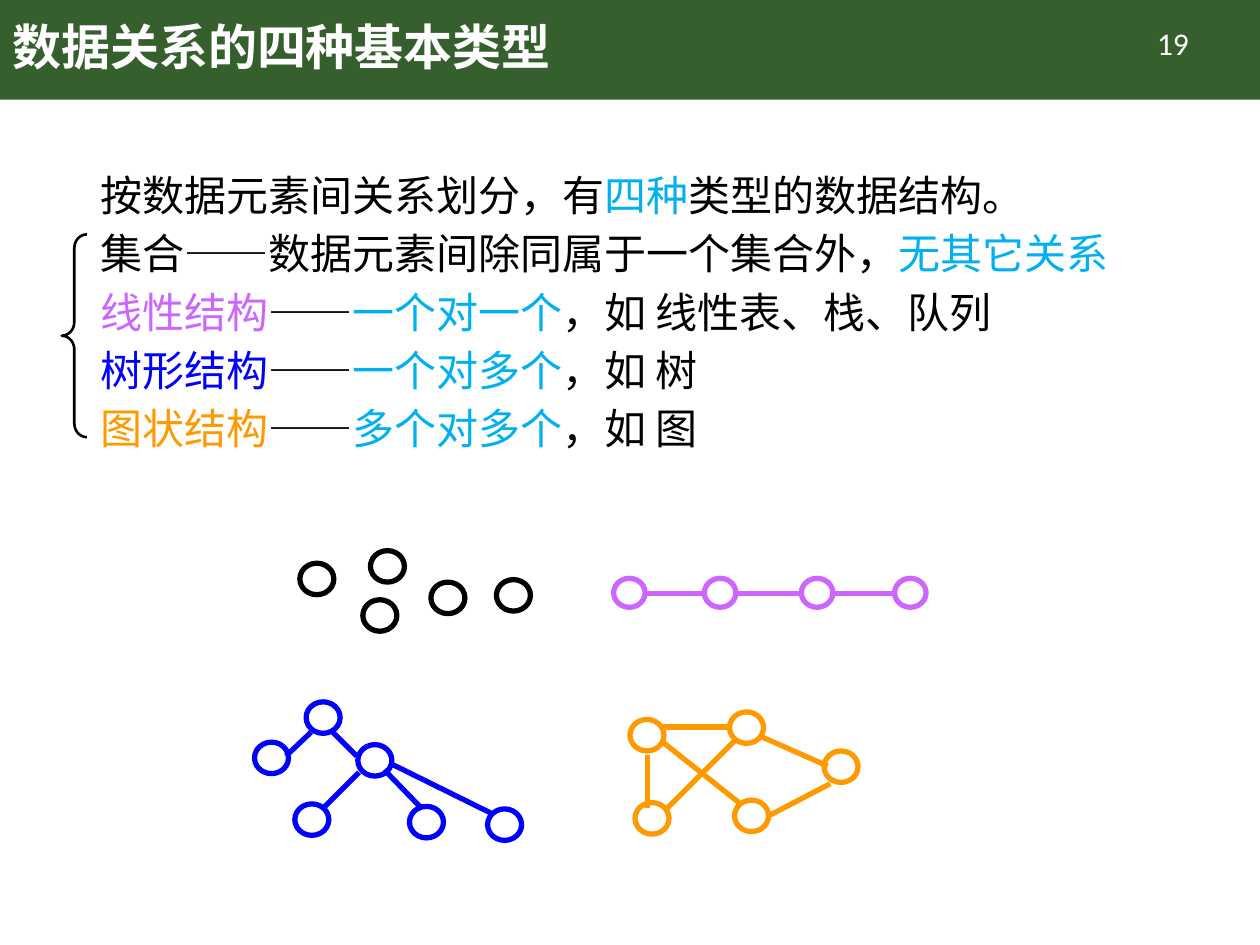
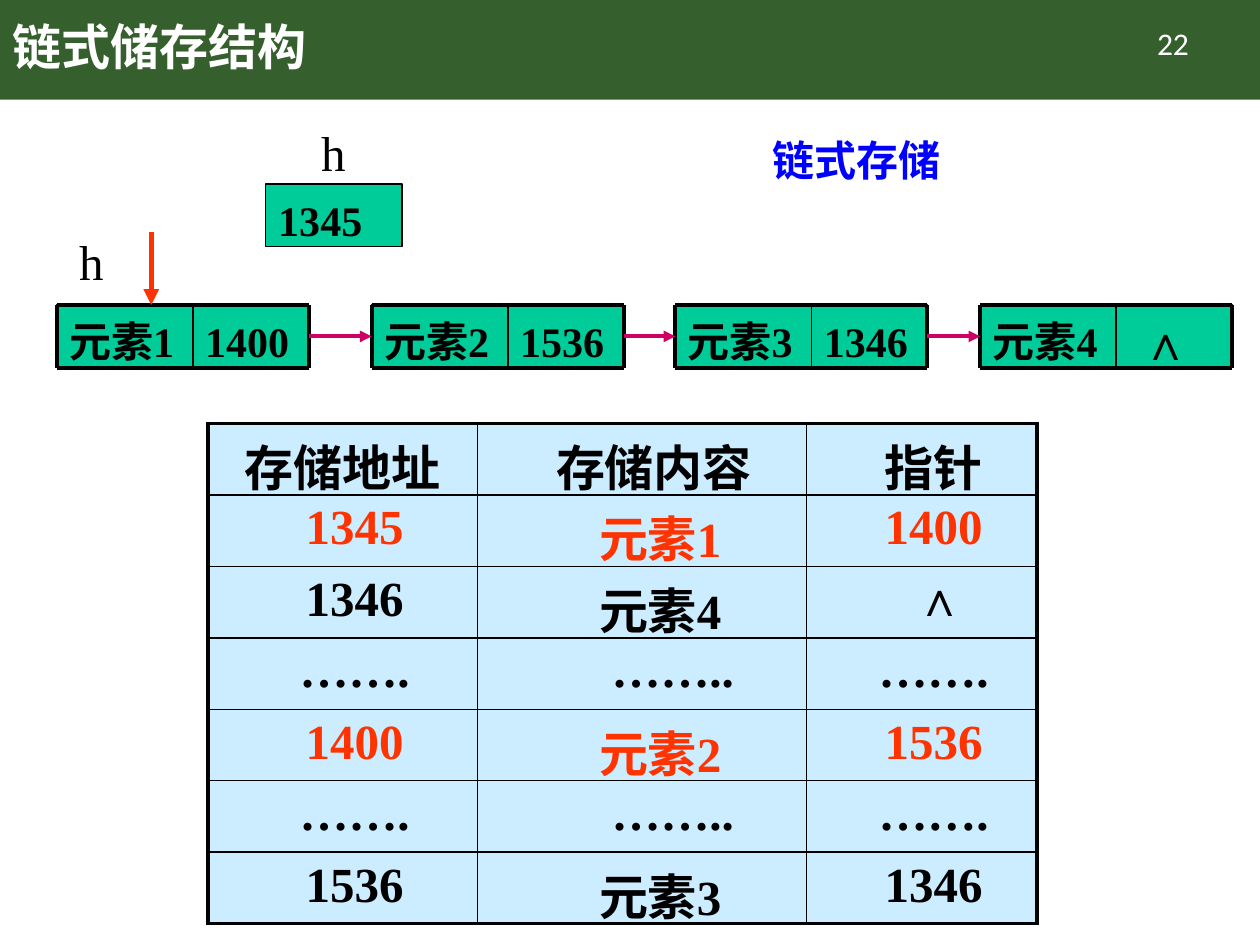
"""Build two slides on data relations and linked storage."""
from dataclasses import dataclass
from itertools import pairwise

from lxml.etree import SubElement
from pptx import Presentation
from pptx.dml.color import RGBColor
from pptx.enum.shapes import MSO_CONNECTOR, MSO_SHAPE
from pptx.enum.text import MSO_ANCHOR, PP_ALIGN
from pptx.oxml.ns import qn
from pptx.util import Inches, Pt


@dataclass(frozen=True)
class Theme:
    """Colours, fonts and type sizes."""
    band: str = "365F2E"
    white: str = "FFFFFF"
    black: str = "000000"
    sky: str = "00B0F0"
    violet: str = "CC66FF"
    blue: str = "0000FF"
    orange: str = "FF9900"
    red: str = "FF3300"
    pink: str = "CC0066"
    node: str = "00CC99"
    cell: str = "CCECFF"
    serif: str = "Times New Roman"
    sans: str = "Calibri"
    cjk: str = "Noto Sans CJK SC"
    large: int = 28
    body: int = 24
    small: int = 18


T = Theme()


class Deck:
    """Hold the presentation and draw on its current slide."""

    def __init__(self):
        """Start an empty 10 by 7.5 inch presentation."""
        self.prs = Presentation()
        self.prs.slide_width, self.prs.slide_height = Inches(10), Inches(7.5)

    def slide(self, title, number):
        """Add a slide with the title band and page number."""
        self.s = self.prs.slides.add_slide(self.prs.slide_layouts[6])
        self.shape(MSO_SHAPE.RECTANGLE, (0, 0, 10, 0.79), fill=T.band)
        self.text((0, 0, 8.62, 0.79), [[(title, T.white)]], size=T.large, bold=True,
                  font=T.cjk, spacing=0.9, anchor=MSO_ANCHOR.MIDDLE)
        self.text((8.71, 0.14, 1.2, 0.4), [[(number, T.white)]], size=T.small,
                  font=T.sans, align=PP_ALIGN.CENTER)

    def fill_text(self, tf, lines, size=T.body, bold=False, font=T.serif,
                  align=PP_ALIGN.LEFT, spacing=None):
        """Put lines of (text, colour) runs into a text frame."""
        for i, runs in enumerate(lines):
            p = tf.add_paragraph() if i else tf.paragraphs[0]
            for name, value in {"alignment": align, "line_spacing": spacing}.items():
                setattr(p, name, value)
            for text, color in runs:
                r = p.add_run()
                r.text = text
                for name, value in {"size": Pt(size), "bold": bold, "name": font}.items():
                    setattr(r.font, name, value)
                r.font.color.rgb = RGBColor.from_string(color)
                SubElement(r._r.get_or_add_rPr(), qn("a:ea"), typeface=T.cjk)

    def frame(self, tf, anchor=MSO_ANCHOR.TOP, left=0.1, top=0.05, right=0.1):
        """Set wrapping, anchor and insets of a text frame."""
        formats = {"word_wrap": True, "vertical_anchor": anchor,
                   "margin_left": Inches(left), "margin_top": Inches(top),
                   "margin_right": Inches(right), "margin_bottom": Inches(0.05)}
        for name, value in formats.items():
            setattr(tf, name, value)

    def text(self, at, lines, anchor=MSO_ANCHOR.TOP, left=0.1, top=0.05, **style):
        """Add a text box."""
        tf = self.s.shapes.add_textbox(*map(Inches, at)).text_frame
        self.frame(tf, anchor, left, top)
        self.fill_text(tf, lines, **style)

    def shape(self, kind, at, fill=None, line=None, width=1.0):
        """Add a preset shape."""
        sp = self.s.shapes.add_shape(kind, *map(Inches, at))
        sp.shadow.inherit = False
        if fill:
            sp.fill.solid()
            sp.fill.fore_color.rgb = RGBColor.from_string(fill)
        else:
            sp.fill.background()
        if line:
            sp.line.color.rgb = RGBColor.from_string(line)
            sp.line.width = Pt(width)
        else:
            sp.line.fill.background()
        return sp

    def line(self, x1, y1, x2, y2, color=T.black, width=3.0, arrow=False):
        """Add a straight line, with an arrowhead on request."""
        c = self.s.shapes.add_connector(MSO_CONNECTOR.STRAIGHT,
                                        *map(Inches, (x1, y1, x2, y2)))
        c.line.color.rgb = RGBColor.from_string(color)
        c.line.width = Pt(width)
        if arrow:
            SubElement(c._element.spPr.find(qn("a:ln")), qn("a:tailEnd"), type="triangle")
        SubElement(c._element.spPr, qn("a:effectLst"))

    def network(self, color, nodes, edges=(), size=(0.27, 0.25)):
        """Draw rings and the edges between them."""
        for node in nodes:
            self.shape(MSO_SHAPE.OVAL, (*node, *size), line=color, width=3)
        for edge in edges:
            self.line(*edge, color)

    def field(self, at, text, size=T.body, left=0.1):
        """Add a filled memory field."""
        sp = self.shape(MSO_SHAPE.RECTANGLE, at, T.node, T.black, 0.75)
        self.frame(sp.text_frame, MSO_ANCHOR.MIDDLE, left, 0.12, 0)
        self.fill_text(sp.text_frame, [[(text, T.black)]], size, True)

    def list_node(self, x, y, data, pointer):
        """Draw a list node with a data field and a pointer field."""
        middle, right, bottom = x + 1.08, x + 2, y + 0.5
        last = pointer == "∧"
        self.field((middle, y, 0.92, 0.5), pointer,
                   T.large if last else T.body, 0.2 if last else 0.1)
        self.field((x, y, 1.08, 0.5), data)
        for edge in (y, bottom):
            self.line(x, edge, right, edge, width=2.25)
        for edge, width in ((x, 2.25), (middle, 1), (right, 2.25)):
            self.line(edge, y, edge, bottom, width=width)

    def border(self, cell, widths):
        """Set the border widths of a table cell."""
        for side, width in widths.items():
            ln = SubElement(cell._tc.get_or_add_tcPr(), qn(f"a:ln{side}"), w=str(Pt(width)))
            SubElement(SubElement(ln, qn("a:solidFill")), qn("a:srgbClr"), val=T.black)

    def table(self, at, widths, rows, red):
        """Add the memory table, with some cells in red."""
        last_row, last_col = len(rows) - 1, len(widths) - 1
        tb = self.s.shapes.add_table(len(rows), len(widths), *map(Inches, at)).table
        tb.first_row = tb.horz_banding = False
        for column, width in zip(tb.columns, widths):
            column.width = Inches(width)
        for i, row in enumerate(rows):
            for j, text in enumerate(row):
                cell = tb.cell(i, j)
                outer = {"L": j == 0, "R": j == last_col, "T": i == 0, "B": i == last_row}
                self.border(cell, {k: 2.25 if v else 1 for k, v in outer.items()})
                cell.fill.solid()
                cell.fill.fore_color.rgb = RGBColor.from_string(T.cell)
                cell.margin_left = Inches(0.1 + self.shift(i, j, text))
                color = T.red if (i, j) in red else T.black
                self.fill_text(cell.text_frame, [[(text, color)]], T.large, True,
                               align=PP_ALIGN.CENTER)

    def shift(self, i, j, text):
        """Return the extra left inset of a table cell."""
        if (i, j) == (0, 0):
            return 0
        if text == "……..":
            return 0.49
        return 0.29 if text == "∧" or (i and j == 1) else 0.19


def relations(deck):
    """Build the slide on the four basic relations."""
    deck.slide("数据关系的四种基本类型", "19")
    kinds = (("线性结构", T.violet, "一个对一个", "线性表、栈、队列"),
             ("树形结构", T.blue, "一个对多个", "树"),
             ("图状结构", T.orange, "多个对多个", "图"))
    lines = [[("按数据元素间关系划分，有", T.black), ("四种", T.sky),
              ("类型的数据结构。", T.black)],
             [("集合——数据元素间除同属于一个集合外，", T.black), ("无其它关系", T.sky)]]
    lines += [[(name, color), ("——", T.black), (ratio, T.sky), (f"，如 {example}", T.black)]
              for name, color, ratio, example in kinds]
    deck.text((0.7, 1.23, 8.28, 2.38), lines, spacing=Pt(33.4))
    brace = deck.shape(MSO_SHAPE.LEFT_BRACE, (0.49, 1.86, 0.2, 1.61), line=T.black, width=1.5)
    brace.adjustments[0] = 0.54

    deck.network(T.black, [(2.38, 4.47), (2.94, 4.37), (2.88, 4.76), (3.42, 4.62), (3.94, 4.6)])
    chain = (4.87, 5.59, 6.36, 7.1)
    deck.network(T.violet, [(x, 4.59) for x in chain],
                 [(a + 0.25, 4.71, b, 4.71) for a, b in pairwise(chain)], (0.25, 0.23))
    deck.network(T.blue,
                 [(2.43, 5.57), (2.02, 5.89), (2.84, 5.91),
                  (2.34, 6.38), (3.25, 6.4), (3.87, 6.42)],
                 [(2.47, 5.81, 2.27, 6), (2.85, 6.13, 2.56, 6.42), (2.62, 5.79, 2.83, 6),
                  (3.05, 6.11, 3.35, 6.42), (3.1, 6.06, 3.91, 6.46)])
    deck.network(T.orange,
                 [(5.79, 5.65), (5.04, 6.37), (5.83, 6.35), (6.54, 5.96), (5, 5.71)],
                 [(5.14, 5.99, 5.14, 6.41), (5.26, 5.89, 5.89, 6.39),
                  (6.05, 5.85, 6.57, 6.08), (5.84, 5.87, 5.28, 6.43),
                  (6.59, 6.22, 6.11, 6.47), (5.26, 5.77, 5.8, 5.77)])


def linked_storage(deck):
    """Build the slide on linked storage."""
    deck.slide("链式储存结构", "22")
    lefts = (0.45, 2.95, 5.36, 7.78)
    for i, (x, pointer) in enumerate(zip(lefts, ("1400", "1536", "1346", "∧")), 1):
        deck.list_node(x, 2.42, f"元素{i}", pointer)
    for a, b in pairwise(lefts):
        deck.line(a + 2, 2.67, b, 2.67, T.pink, 2.25, arrow=True)
    deck.field((2.11, 1.46, 1.08, 0.5), "1345")
    for at in ((0.53, 1.75, 0.4, 0.57), (2.45, 0.88, 0.42, 0.57)):
        deck.text(at, [[("h", T.black)]], top=0.09, size=T.large)
    deck.line(1.2, 1.84, 1.2, 2.42, T.red, arrow=True)
    deck.text((5.95, 1.07, 1.72, 0.5), [[("链式存储", T.blue)]], left=0.18, top=0, bold=True)
    gap = ("…….", "……..", "…….")
    rows = (("存储地址", "存储内容", "指针"), ("1345", "元素1", "1400"),
            ("1346", "元素4", "∧"), gap, ("1400", "元素2", "1536"), gap,
            ("1536", "元素3", "1346"))
    red = {(i, j) for i in (1, 4) for j in range(3)}
    deck.table((1.65, 3.36, 6.58, 3.97), (2.14, 2.61, 1.83), rows, red)


def main():
    """Build and save the presentation."""
    deck = Deck()
    relations(deck)
    linked_storage(deck)
    deck.prs.save("out.pptx")


if __name__ == "__main__":
    main()
